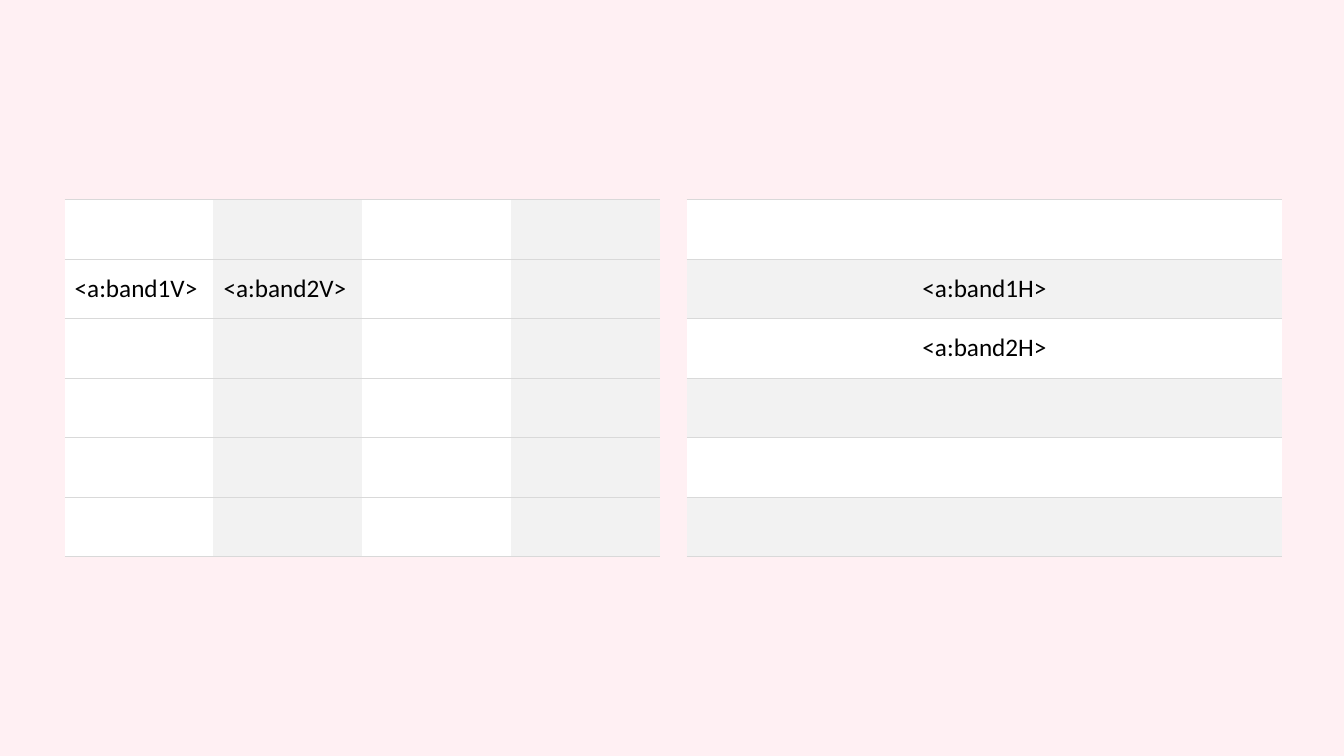
from lxml import etree
from pptx import Presentation
from pptx.dml.color import RGBColor
from pptx.enum.text import MSO_ANCHOR, PP_ALIGN
from pptx.oxml.ns import qn
from pptx.util import Inches, Pt

PINK = RGBColor(0xFF, 0xF0, 0xF3)
WHITE = RGBColor(0xFF, 0xFF, 0xFF)
GREY = RGBColor(0xF2, 0xF2, 0xF2)
RULE = RGBColor(0xD9, 0xD9, 0xD9)
BLACK = RGBColor(0, 0, 0)
MIDDLE = MSO_ANCHOR.MIDDLE
LEFT, CENTER = PP_ALIGN.LEFT, PP_ALIGN.CENTER

ROWS = 6
TOP, WIDTH, HEIGHT = Inches(1.98), Inches(5.91), Inches(3.54)


def add_edge(cell, side, width):
    props = cell._tc.get_or_add_tcPr()
    line = etree.SubElement(props, qn(f"a:ln{side}"), w=str(Pt(width)))
    if width:
        fill = etree.SubElement(line, qn("a:solidFill"))
        etree.SubElement(fill, qn("a:srgbClr"), val=str(RULE))
    else:
        etree.SubElement(line, qn("a:noFill"))


deck = Presentation()
deck.slide_width, deck.slide_height = Inches(13.33), Inches(7.5)
slide = deck.slides.add_slide(deck.slide_layouts[6])
back = slide.background.fill
back.solid()
back.fore_color.rgb = PINK

bands = [
    (6.81, 3, False, CENTER, {(1, 1): "<a:band1H>", (2, 1): "<a:band2H>"}),
    (0.64, 4, True, LEFT, {(1, 0): "<a:band1V>", (1, 1): "<a:band2V>"}),
]

for left, cols, upright, align, labels in bands:
    frame = slide.shapes.add_table(ROWS, cols, Inches(left), TOP, WIDTH, HEIGHT)
    table = frame.table
    table.first_row = False
    table.horz_banding = False
    for row in range(ROWS):
        for col in range(cols):
            cell = table.cell(row, col)
            cell.vertical_anchor = MIDDLE
            add_edge(cell, "L", 0)
            add_edge(cell, "R", 0)
            add_edge(cell, "T", 1.1 if row == 0 else 0.55)
            add_edge(cell, "B", 1.1 if row == ROWS - 1 else 0.55)
            cell.fill.solid()
            band = col if upright else row
            cell.fill.fore_color.rgb = GREY if band % 2 else WHITE
            if (row, col) in labels:
                para = cell.text_frame.paragraphs[0]
                para.text = labels[row, col]
                para.alignment = align
                para.font.name = "Calibri"
                para.font.size = Pt(18)
                para.font.color.rgb = BLACK

deck.save("out.pptx")
